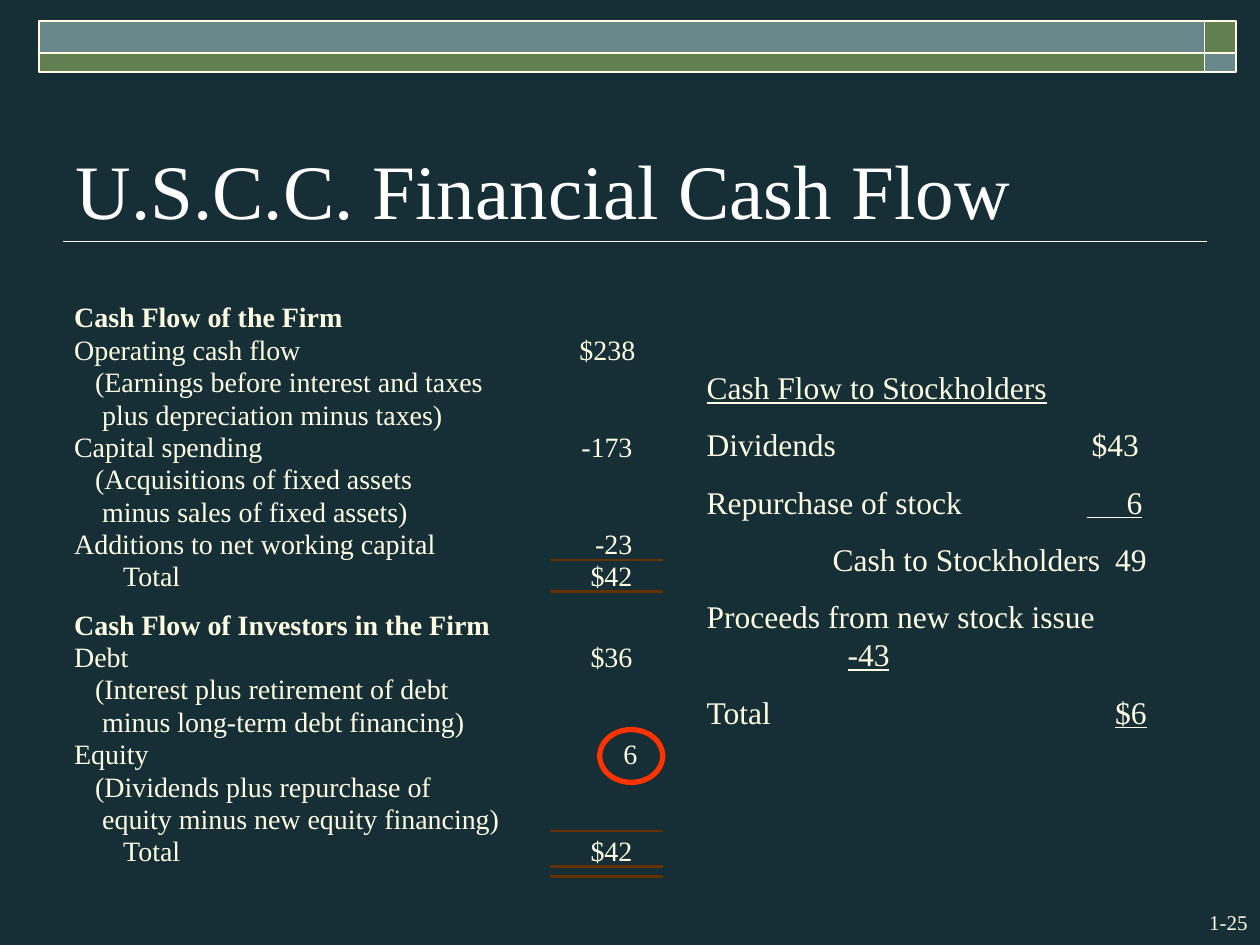
from lxml import etree
from pptx import Presentation
from pptx import util as u
from pptx.dml.color import RGBColor
from pptx.enum import shapes, text
from pptx.oxml import ns

Pt = u.Pt
NIGHT = RGBColor(0x16, 0x2E, 0x36)
CREAM = RGBColor(0xFF, 0xFF, 0xE3)
WHITE = RGBColor(0xFF, 0xFF, 0xFF)
GREEN = RGBColor(0x61, 0x80, 0x52)
SLATE = RGBColor(0x69, 0x88, 0x8B)
BLACK = RGBColor(0x00, 0x00, 0x00)
BROWN = RGBColor(0x66, 0x33, 0x00)
RED = RGBColor(0xFF, 0x33, 0x00)

LEFT, RIGHT = 42.4, 361.4  # edges of the statement's labels and amounts
PITCH = 18.5
NOTE, NOTE_MORE, TOTAL = 12, 16, 28  # label indents

# Top of each section, then rows of label, indent, label width, amount, amount width
SECTIONS = [
    (171.4, [
        ("Cash Flow of the Firm", 0, 153, "", 0),
        ("Operating cash flow", 0, 130, "$238", 32),
        ("(Earnings before interest and taxes", NOTE, 233, "", 0),
        ("plus depreciation minus taxes)", NOTE_MORE, 210, "", 0),
        ("Capital spending", 0, 108, "-173", 29.5),
        ("(Acquisitions of fixed assets", NOTE, 194, "", 0),
        ("minus sales of fixed assets)", NOTE_MORE, 191, "", 0),
        ("Additions to net working capital", 0, 207, "-23", 21.5),
        ("Total", TOTAL, 62, "$42", 24),
    ]),
    (347, [
        ("Cash Flow of Investors in the Firm", 0, 238, "", 0),
        ("Debt", 0, 31, "$36", 24),
        ("(Interest plus retirement of debt", NOTE, 214, "", 0),
        ("minus long-term debt financing)", NOTE_MORE, 223, "", 0),
        ("Equity", 0, 42, "6", 8),
        ("(Dividends plus repurchase of", NOTE, 204, "", 0),
        ("equity minus new equity financing)", NOTE_MORE, 243, "", 0),
        ("Total", TOTAL, 62, "$42", 24),
    ]),
]
NUDGE = {"$238": 1.6, "6": 2.9}  # amounts set a little further right

# Tab stops, then spans of wording and underline; None breaks the line
STOCKHOLDERS = [
    ([], [("Cash Flow to Stockholders", True)]),
    ([(247, "r")], [("Dividends\t$43", False)]),
    ([(249, "r")], [("Repurchase of stock\t", False), ("     6", True)]),
    ([(72, "l"), (251.5, "r")], [("\tCash to Stockholders\t49", False)]),
    ([(104.5, "r")], [("Proceeds from new stock issue", False), None,
                      ("\t", False), ("-43", True)]),
    ([(251.5, "r")], [("Total\t", False), ("$6", True)]),
]


def set_values(target, values):
    for name, value in values.items():
        setattr(target, name, value)


def style_font(font, size, colour=CREAM, **values):
    set_values(font, {"name": "Times New Roman", "size": Pt(size), **values})
    font.color.rgb = colour


def add_box(page, left, top, width, height, inset=(0, 0), wrap=False):
    box = page.shapes.add_textbox(Pt(left), Pt(top), Pt(width), Pt(height))
    across, down = map(Pt, inset)
    set_values(box.text_frame, {
        "margin_left": across, "margin_right": across,
        "margin_top": down, "margin_bottom": down,
        "word_wrap": wrap, "auto_size": text.MSO_AUTO_SIZE.NONE})
    return box.text_frame


def add_line_of_text(frame, words, size, align=text.PP_ALIGN.LEFT, **values):
    para = frame.paragraphs[0]
    para.alignment = align
    span = para.add_run()
    span.text = words
    style_font(span.font, size, **values)
    return para


def add_plain_shape(page, kind, left, top, width, height, fill, line, weight):
    shape = page.shapes.add_shape(kind, Pt(left), Pt(top), Pt(width), Pt(height))
    shape.shadow.inherit = False
    if fill is None:
        shape.fill.background()
    else:
        shape.fill.solid()
        shape.fill.fore_color.rgb = fill
    shape.line.color.rgb = line
    shape.line.width = Pt(weight)


def add_rule(page, left, right, y):
    rule = page.shapes.add_connector(
        shapes.MSO_CONNECTOR.STRAIGHT, Pt(right), Pt(y), Pt(left), Pt(y))
    rule.line.color.rgb = CREAM
    rule.line.width = Pt(1)
    etree.SubElement(rule.element.spPr, ns.qn("a:effectLst"))


def add_header(page):
    add_rule(page, 36, 690, 138)
    columns = [(22.3, 666), (688.3, 18)]
    bands = [(12.2, 18, (SLATE, GREEN)), (30.2, 10.8, (GREEN, SLATE))]
    for top, height, fills in bands:
        for (left, width), fill in zip(columns, fills):
            add_plain_shape(page, shapes.MSO_SHAPE.RECTANGLE,
                            left, top, width, height, fill, CREAM, 1)


def add_title(page):
    title = page.shapes.title
    set_values(title, {"left": Pt(36), "top": Pt(48),
                       "width": Pt(628.5), "height": Pt(90)})
    set_values(title.text_frame, {
        "vertical_anchor": text.MSO_ANCHOR.BOTTOM, "word_wrap": True,
        "auto_size": text.MSO_AUTO_SIZE.NONE})
    add_line_of_text(title.text_frame, "U.S.C.C. Financial Cash Flow", 44,
                     colour=WHITE)


def add_section(page, top, rows):
    for index, (label, indent, width, amount, amount_width) in enumerate(rows):
        y = top + index * PITCH
        frame = add_box(page, LEFT, y, width, 19.4)
        para = add_line_of_text(frame, label, 16, bold=index == 0)
        if indent:
            para._p.get_or_add_pPr().set("marL", str(Pt(indent)))
        if amount:
            right = RIGHT + NUDGE.get(amount, 0)
            frame = add_box(page, right - amount_width, y, amount_width, 19.4)
            add_line_of_text(frame, amount, 16, text.PP_ALIGN.RIGHT)


def add_tab_stops(para, stops):
    tab_list = etree.SubElement(para._p.get_or_add_pPr(), ns.qn("a:tabLst"))
    for position, align in stops:
        etree.SubElement(tab_list, ns.qn("a:tab"),
                         pos=str(Pt(position)), algn=align)


def add_stockholders(page):
    frame = add_box(page, 396.7, 206.6, 270, 214.6, (7.2, 3.6), True)
    for index, (stops, spans) in enumerate(STOCKHOLDERS):
        para = frame.add_paragraph() if index else frame.paragraphs[0]
        para.space_before = Pt(11.2)
        add_tab_stops(para, stops)
        for part in spans:
            if part is None:
                para.add_line_break()
                continue
            span = para.add_run()
            span.text, underline = part
            style_font(span.font, 18, underline=underline)


def main():
    deck = Presentation()
    deck.slide_width, deck.slide_height = Pt(720), Pt(540)
    page = deck.slides.add_slide(deck.slide_layouts[5])
    page.background.fill.solid()
    page.background.fill.fore_color.rgb = NIGHT

    # Header bands, page number and title
    add_header(page)
    number = add_box(page, 660, 516.2, 60, 21.6, (7.2, 3.6), True)
    add_line_of_text(number, "1-25", 12, text.PP_ALIGN.RIGHT)
    add_title(page)

    # Statement on the left, stockholder detail on the right
    for top, rows in SECTIONS:
        add_section(page, top, rows)
    add_stockholders(page)

    # Ring around equity and rules around the totals
    add_plain_shape(page, shapes.MSO_SHAPE.OVAL,
                    342.7, 416.9, 36, 30.2, None, RED, 3)
    for y in (319.7, 337.7, 474.5, 494.7, 500.6):
        add_plain_shape(page, shapes.MSO_SHAPE.RECTANGLE,
                        314.6, y, 64, 0.7, BLACK, BROWN, 0.75)

    deck.save("out.pptx")


if __name__ == "__main__":
    main()
